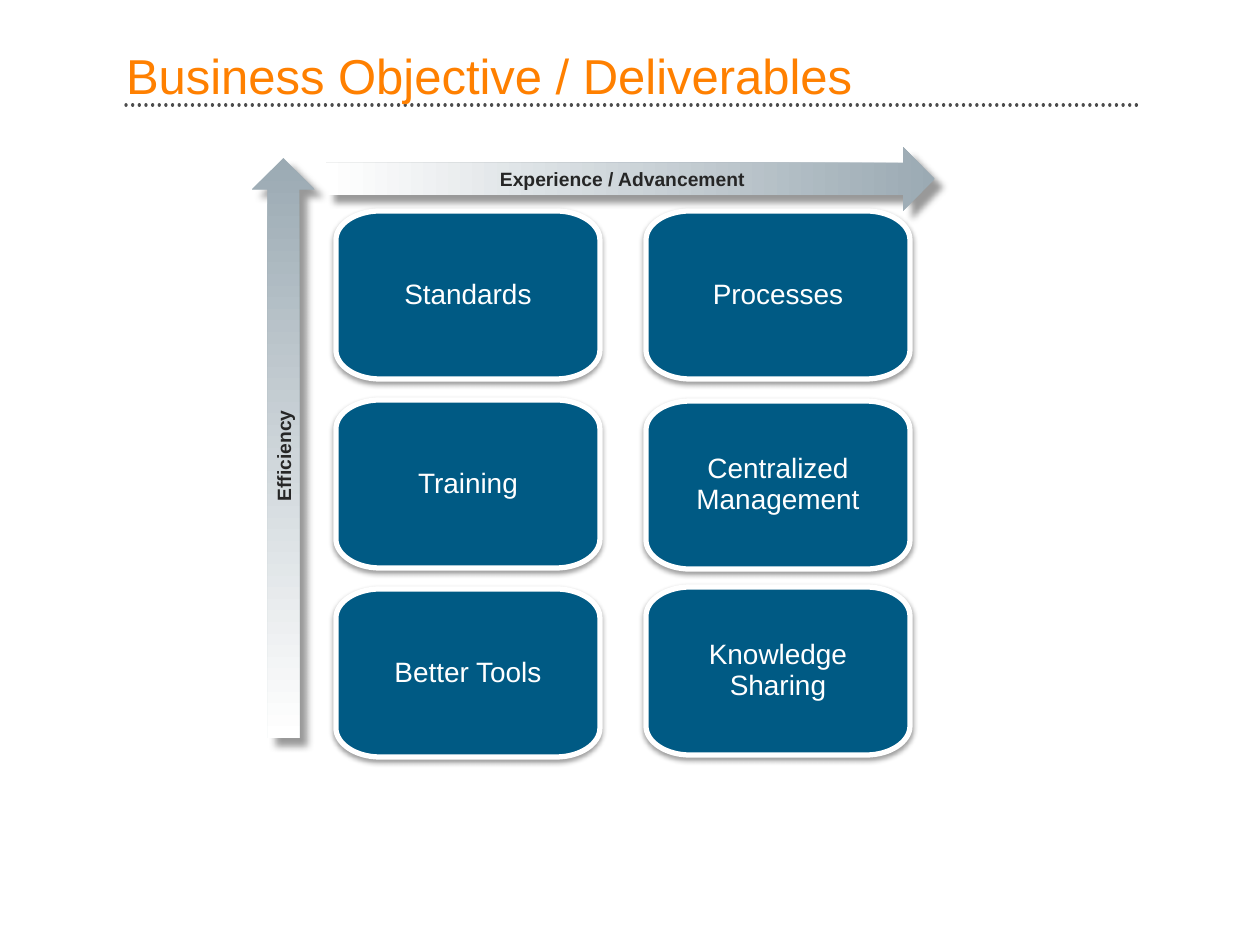
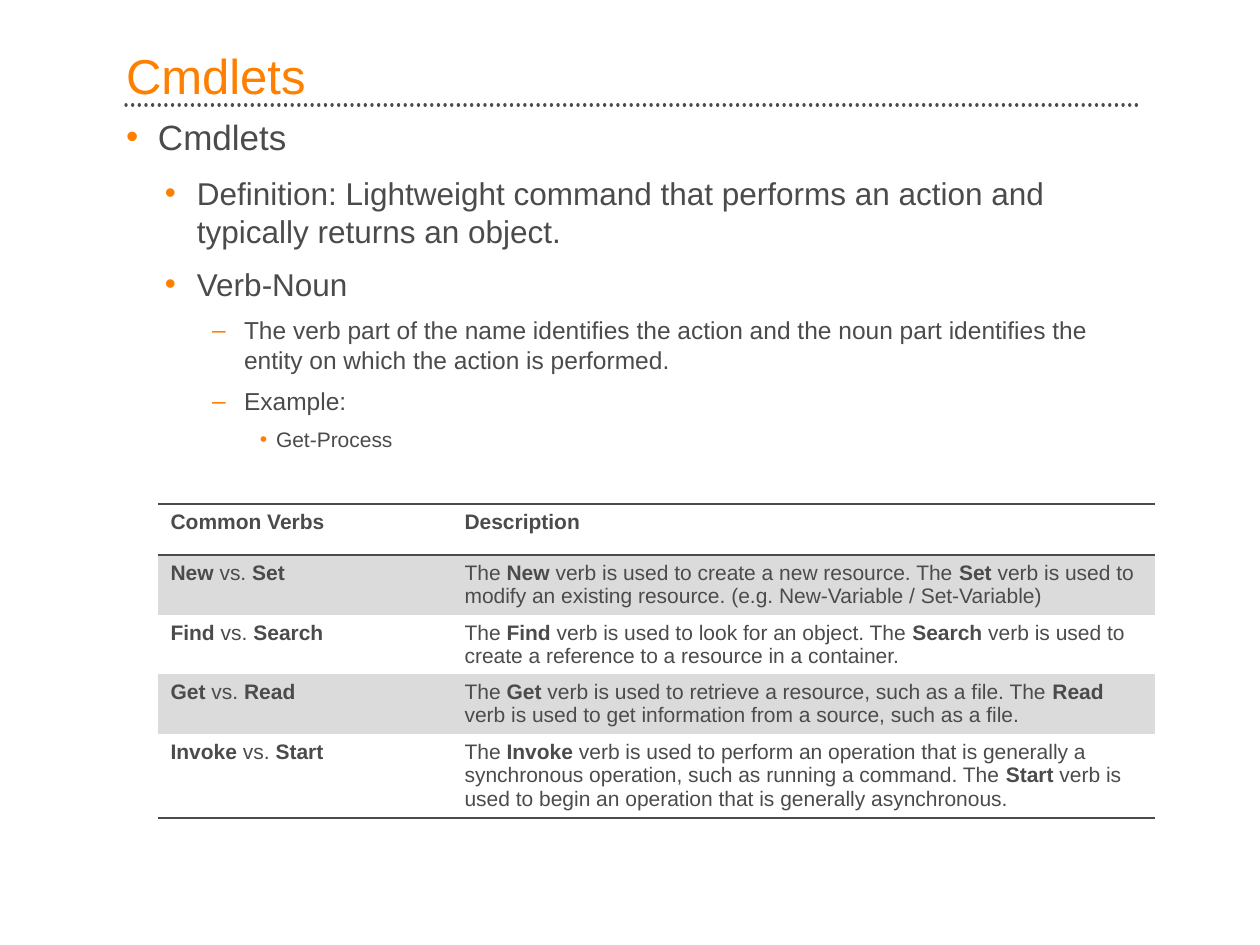
from lxml import etree
from pptx import Presentation
from pptx.dml.color import RGBColor
from pptx.enum.dml import MSO_LINE
from pptx.enum.shapes import MSO_CONNECTOR, MSO_SHAPE
from pptx.enum.text import MSO_ANCHOR, PP_ALIGN
from pptx.oxml.ns import qn
from pptx.util import Emu, Pt

PX = 914400 / 126
FONT = "Arial"
BLANK_LAYOUT = 6
NO_STYLE = "{2D5ABB26-0587-4C30-8999-92F81FD0307C}"
STRAIGHT = MSO_CONNECTOR.STRAIGHT
DOTTED = MSO_LINE.ROUND_DOT
RIGHT_ARROW = MSO_SHAPE.RIGHT_ARROW
CENTER = PP_ALIGN.CENTER
LEFT = PP_ALIGN.LEFT
TOP, MIDDLE, BOTTOM = MSO_ANCHOR.TOP, MSO_ANCHOR.MIDDLE, MSO_ANCHOR.BOTTOM

COLORS = {
    "accent": "FF8000",
    "text": "4B4B4B",
    "card": "005A84",
    "white": "FFFFFF",
    "steel": "9BAAB3",
    "label": "262626",
    "band": "DBDBDB",
    "shadow": "000000",
}
CARD_SHADOW = {"alpha": 38, "blur": 3.1, "distance": 1.6, "angle": 90}
ARROW_SHADOW = {"alpha": 40, "blur": 4, "distance": 6, "angle": 45}
TITLE_BOX = (126, 45, 1016, 60)
RULE_Y = 105

CARD_SIZE = (264, 168)
CARD_CORNER = (44, 29)
CURVE = 0.55
CARD_COLUMNS = [
    (336, [("Standards", 211), ("Training", 400), ("Better Tools", 589)]),
    (646, [("Processes", 211), ("Centralized Management", 401), ("Knowledge Sharing", 587)]),
]

LEVELS = {
    1: {"size": 20, "left": 32, "hanging": 32, "bullet": "•"},
    2: {"size": 18, "left": 71, "hanging": 32, "bullet": "•"},
    3: {"size": 14, "left": 118, "hanging": 32, "bullet": "–"},
    4: {"size": 12, "left": 150, "hanging": 16, "bullet": "•"},
}
BULLETS = [
    (1, "Cmdlets"),
    (2, "Definition: Lightweight command that performs an action and typically returns an object."),
    (2, "Verb-Noun"),
    (3, "The verb part of the name identifies the action and the noun part identifies "
        "the entity on which the action is performed."),
    (3, "Example:"),
    (4, "Get-Process"),
]
VERB_ROWS = [
    ("*Common Verbs*", "*Description*"),
    ("*New* vs. *Set*",
     "The *New* verb is used to create a new resource. The *Set* verb is used to modify "
     "an existing resource. (e.g. New-Variable / Set-Variable)"),
    ("*Find* vs. *Search*",
     "The *Find* verb is used to look for an object. The *Search* verb is used to create "
     "a reference to a resource in a container."),
    ("*Get* vs. *Read*",
     "The *Get* verb is used to retrieve a resource, such as a file. The *Read* verb is "
     "used to get information from a source, such as a file."),
    ("*Invoke* vs. *Start*",
     "The *Invoke* verb is used to perform an operation that is generally a synchronous "
     "operation, such as running a command. The *Start* verb is used to begin an operation "
     "that is generally asynchronous."),
]
VERB_COLUMN_WIDTHS = (294, 703)
VERB_ROW_HEIGHTS = (51, 60, 59, 60, 84)


def px(value):
    return Emu(round(value * PX))


def scaled(*values):
    return [px(value) for value in values]


def rgb(name):
    return RGBColor.from_string(COLORS[name])


def apply(target, values):
    for name, value in values.items():
        setattr(target, name, value)


def add_color(parent, name):
    return etree.SubElement(parent, qn("a:srgbClr"), val=COLORS[name])


def add_run(paragraph, text, size, color, bold=False):
    run = paragraph.add_run()
    run.text = text
    apply(run.font, {"name": FONT, "size": Pt(size), "bold": bold})
    run.font.color.rgb = rgb(color)


def setup_frame(shape, margins, anchor):
    frame = shape.text_frame
    sides = ("margin_left", "margin_top", "margin_right", "margin_bottom")
    apply(frame, dict(zip(sides, scaled(*margins))))
    apply(frame, {"word_wrap": True, "vertical_anchor": anchor})
    return frame


def set_label(shape, text, size, color, margins, anchor=MIDDLE, align=CENTER,
              spacing=1.0, bold=False):
    paragraph = setup_frame(shape, margins, anchor).paragraphs[0]
    apply(paragraph, {"alignment": align, "line_spacing": spacing})
    add_run(paragraph, text, size, color, bold)


def set_shadow(shape, style):
    shape.shadow.inherit = False
    effects = shape.element.spPr.find(qn("a:effectLst"))
    shadow = etree.SubElement(
        effects, qn("a:outerShdw"), blurRad=str(Pt(style["blur"])),
        dist=str(Pt(style["distance"])), dir=str(style["angle"] * 60000),
        algn="ctr", rotWithShape="0")
    color = add_color(shadow, "shadow")
    etree.SubElement(color, qn("a:alpha"), val=str(style["alpha"] * 1000))


def add_titled_slide(presentation, title):
    slide = presentation.slides.add_slide(presentation.slide_layouts[BLANK_LAYOUT])
    left, _, width, _ = TITLE_BOX
    rule = slide.shapes.add_connector(STRAIGHT, *scaled(left, RULE_Y, left + width, RULE_Y))
    apply(rule.line, {"width": Pt(1.9), "dash_style": DOTTED})
    rule.line.color.rgb = rgb("text")
    rule.element.spPr.find(qn("a:ln")).set("cap", "rnd")
    etree.SubElement(rule.element.spPr, qn("a:effectLst"))
    box = slide.shapes.add_textbox(*scaled(*TITLE_BOX))
    set_label(box, title, 28, "accent", (0, 0, 0, 0), BOTTOM, LEFT, spacing=0.9)
    return slide


def card_outline(left, top, width, height):
    radius_x, radius_y = CARD_CORNER
    right, bottom = left + width, top + height
    near_x, far_x = left + radius_x, right - radius_x
    near_y, far_y = top + radius_y, bottom - radius_y
    points = [(left, near_y), (near_x, top), (far_x, top), (right, near_y),
              (right, far_y), (far_x, bottom), (near_x, bottom), (left, far_y)]
    return [scaled(*point) for point in points]


def step_end(step):
    point = step.find(qn("a:pt"))
    return int(point.get("x")), int(point.get("y"))


def toward(start, end):
    return [round(a + (b - a) * CURVE) for a, b in zip(start, end)]


def round_corners(shape):
    steps = list(next(shape.element.iter(qn("a:path"))))
    ends = [step_end(step) for step in steps[:8]]
    for index in range(1, 8, 2):
        start, end = ends[index - 1], ends[index]
        corner = (start[0], end[1]) if index in (1, 5) else (end[0], start[1])
        curve = etree.Element(qn("a:cubicBezTo"))
        for x, y in (toward(start, corner), toward(end, corner), end):
            etree.SubElement(curve, qn("a:pt"), x=str(x), y=str(y))
        steps[index].getparent().replace(steps[index], curve)


def add_card(slide, text, box):
    start, *others = card_outline(*box)
    builder = slide.shapes.build_freeform(*start)
    builder.add_line_segments(others, close=True)
    card = builder.convert_to_shape()
    round_corners(card)
    card.fill.solid()
    card.fill.fore_color.rgb = rgb("card")
    card.line.color.rgb = rgb("white")
    card.line.width = Pt(3)
    set_shadow(card, CARD_SHADOW)
    set_label(card, text, 16, "white", (18, 18, 18, 18), spacing=0.9)


def add_axis_arrow(slide, text, box, rotation=0):
    left, top, width, height = box
    if rotation:
        left, top = left + (width - height) / 2, top + (height - width) / 2
        width, height = height, width
    arrow = slide.shapes.add_shape(RIGHT_ARROW, *scaled(left, top, width, height))
    arrow.rotation = rotation
    arrow.fill.gradient()
    arrow.fill.gradient_angle = 180
    for stop, position, color in zip(arrow.fill.gradient_stops, (0, 1), ("steel", "white")):
        stop.position = position
        stop.color.rgb = rgb(color)
    arrow.line.fill.background()
    set_shadow(arrow, ARROW_SHADOW)
    set_label(arrow, text, 11, "label", (13, 6, 13, 6), bold=True)


def build_objectives(presentation):
    slide = add_titled_slide(presentation, "Business Objective / Deliverables")
    for left, cards in CARD_COLUMNS:
        for text, top in cards:
            add_card(slide, text, (left, top, *CARD_SIZE))
    add_axis_arrow(slide, "Experience / Advancement", (326, 147, 609, 64))
    add_axis_arrow(slide, "Efficiency", (252, 158, 63, 580), rotation=270)


def add_bullets(slide, box):
    shape = slide.shapes.add_textbox(*scaled(*box))
    frame = setup_frame(shape, (0, 0, 25, 0), TOP)
    for index, (level, text) in enumerate(BULLETS):
        style = LEVELS[level]
        paragraph = frame.add_paragraph() if index else frame.paragraphs[0]
        properties = paragraph._p.get_or_add_pPr()
        properties.set("marL", str(px(style["left"])))
        properties.set("indent", str(-px(style["hanging"])))
        add_color(etree.SubElement(properties, qn("a:buClr")), "accent")
        etree.SubElement(properties, qn("a:buFont"), typeface=FONT)
        etree.SubElement(properties, qn("a:buChar"), char=style["bullet"])
        apply(paragraph, {"level": level - 1, "line_spacing": 1.0,
                          "space_before": Pt(style["size"] / 2 if index else 0)})
        add_run(paragraph, text, style["size"], "text")


def add_border(cell, side):
    properties = cell._tc.get_or_add_tcPr()
    line = etree.SubElement(properties, qn(f"a:{side}"), w=str(Pt(1)))
    add_color(etree.SubElement(line, qn("a:solidFill")), "text")


def fill_verb_cell(cell, text, row_index):
    cell.margin_bottom = 0
    if row_index == 0:
        add_border(cell, "lnT")
    if row_index in (0, len(VERB_ROWS) - 1):
        add_border(cell, "lnB")
    if row_index % 2:
        cell.fill.solid()
        cell.fill.fore_color.rgb = rgb("band")
    else:
        cell.fill.background()
    for index, part in enumerate(text.split("*")):
        if part:
            add_run(cell.text_frame.paragraphs[0], part, 12, "text", bold=index % 2 == 1)


def add_verb_table(slide, left, top):
    size = (sum(VERB_COLUMN_WIDTHS), sum(VERB_ROW_HEIGHTS))
    graphic = slide.shapes.add_table(
        len(VERB_ROWS), len(VERB_COLUMN_WIDTHS), *scaled(left, top, *size))
    table = graphic.table
    apply(table, {"first_row": False, "horz_banding": False})
    next(graphic.element.iter(qn("a:tableStyleId"))).text = NO_STYLE
    for column, width in zip(table.columns, VERB_COLUMN_WIDTHS):
        column.width = px(width)
    for row_index, (texts, height) in enumerate(zip(VERB_ROWS, VERB_ROW_HEIGHTS)):
        table.rows[row_index].height = px(height)
        for column_index, text in enumerate(texts):
            fill_verb_cell(table.cell(row_index, column_index), text, row_index)


def build_cmdlets(presentation):
    slide = add_titled_slide(presentation, "Cmdlets")
    add_bullets(slide, (126, 116, 1016, 189))
    add_verb_table(slide, 158, 504)


def main():
    presentation = Presentation()
    apply(presentation, {"slide_width": px(1260), "slide_height": px(945)})
    build_objectives(presentation)
    build_cmdlets(presentation)
    presentation.save("out.pptx")


if __name__ == "__main__":
    main()
